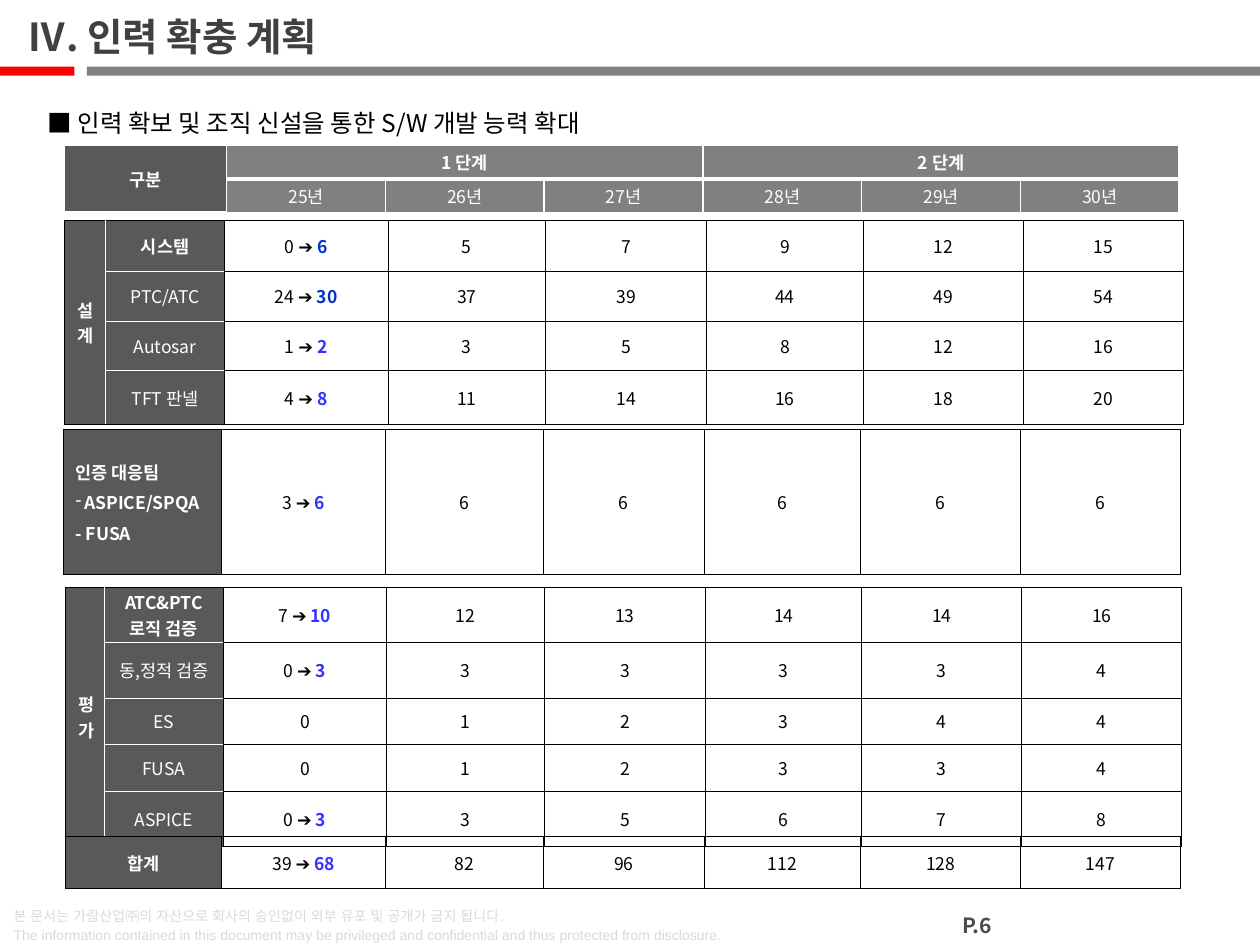
from lxml.etree import SubElement
from pptx import Presentation
from pptx.dml.color import RGBColor as Rgb
from pptx.enum.shapes import MSO_SHAPE as Shape
from pptx.enum.text import MSO_ANCHOR as Anchor, PP_ALIGN as Align
from pptx.oxml.ns import qn
from pptx.util import Inches, Pt

COLORS = {
    "red": "FF0000", "gray": "808080", "dark": "595959", "title": "404040",
    "page": "4D4D4D", "pale": "D9D9D9", "white": "FFFFFF", "black": "000000",
    "navy": "0033CC", "blue": "3333FF",
}
FONT = "Noto Sans CJK KR"
ARROW = "➔ "
YEAR_COLUMNS = [1.3, 1.25, 1.28, 1.24, 1.27, 1.27]

DESIGN_ROWS = [
    ("시스템", "0 ➔ 6", 5, 7, 9, 12, 15),
    ("PTC/ATC", "24 ➔ 30", 37, 39, 44, 49, 54),
    ("Autosar", "1 ➔ 2", 3, 5, 8, 12, 16),
    ("TFT 판넬", "4 ➔ 8", 11, 14, 16, 18, 20),
]
TEAM_ROW = ("3 ➔ 6", 6, 6, 6, 6, 6)
TEST_ROWS = [
    ("ATC&PTC\n로직 검증", "7 ➔ 10", 12, 13, 14, 14, 16),
    ("동,정적 검증", "0 ➔ 3", 3, 3, 3, 3, 4),
    ("ES", "0", 1, 2, 3, 4, 4),
    ("FUSA", "0", 1, 2, 3, 3, 4),
    ("ASPICE", "0 ➔ 3", 3, 5, 6, 7, 8),
]
TOTAL_ROW = ("39 ➔ 68", 82, 96, 112, 128, 147)
NAVY_LABELS = ("시스템", "PTC/ATC")


class SlideBuilder:
    def __init__(self, slide):
        self.slide = slide

    def bar(self, left, width, color):
        bar = self.slide.shapes.add_shape(
            Shape.RECTANGLE, Inches(left), Inches(0.53), Inches(width), Inches(0.07))
        bar.shadow.inherit = False
        bar.fill.solid()
        bar.fill.fore_color.rgb = Rgb.from_string(COLORS[color])
        bar.line.fill.background()

    def span(self, para, text, color, size=10, bold=False, font=FONT):
        span = para.add_run()
        span.text = text
        for name, value in {"name": font, "size": Pt(size), "bold": bold}.items():
            setattr(span.font, name, value)
        span.font.color.rgb = Rgb.from_string(COLORS[color])
        SubElement(span.font._element, qn("a:ea"), typeface=font)

    def text(self, area, lines, color, frame_format=None, para_format=None, **font):
        box = self.slide.shapes.add_textbox(*map(Inches, area))
        frame = box.text_frame
        for name, value in {"word_wrap": True, **(frame_format or {})}.items():
            setattr(frame, name, value)
        for index, line in enumerate(lines):
            para = frame.add_paragraph() if index else frame.paragraphs[0]
            for name, value in (para_format or {}).items():
                setattr(para, name, value)
            self.span(para, line, color, **font)

    def table(self, left, top, columns, rows):
        shape = self.slide.shapes.add_table(
            len(rows), len(columns), Inches(left), Inches(top),
            Inches(sum(columns)), Inches(sum(rows)))
        table = shape.table
        table.first_row = table.horz_banding = False
        for column, width in zip(table.columns, columns):
            column.width = Inches(width)
        for row, height in zip(table.rows, rows):
            row.height = Inches(height)
        return table

    def style_cell(self, cell, borders, fill=None):
        """Set margins, the four borders as side: (color, points), and the fill."""
        cell.margin_top = cell.margin_bottom = Inches(0.02)
        cell.vertical_anchor = Anchor.MIDDLE
        properties = cell._tc.get_or_add_tcPr()
        for side in "LRTB":
            color, points = borders[side]
            line = SubElement(properties, qn(f"a:ln{side}"), w=str(Pt(points)))
            solid = SubElement(line, qn("a:solidFill"))
            SubElement(solid, qn("a:srgbClr"), val=COLORS[color])
        if fill:
            cell.fill.solid()
            cell.fill.fore_color.rgb = Rgb.from_string(COLORS[fill])
        else:
            cell.fill.background()

    def label(self, cell, text, fill="dark", bold=True, white="", points=0.5):
        """Fill a heading cell; white lists the sides with a white border."""
        borders = {side: ("white" if side in white else "black", points) for side in "LRTB"}
        self.style_cell(cell, borders, fill)
        for index, line in enumerate(text.split("\n")):
            para = cell.text_frame.add_paragraph() if index else cell.text_frame.paragraphs[0]
            para.alignment = Align.CENTER
            if line:
                self.span(para, line, "white", bold=bold)

    def values(self, table, row, first, values, accent="blue"):
        for column, value in enumerate(values, first):
            cell = table.cell(row, column)
            self.style_cell(cell, dict.fromkeys("LRTB", ("black", 0.5)))
            para = cell.text_frame.paragraphs[0]
            para.alignment = Align.CENTER
            before, arrow, after = str(value).partition(ARROW)
            self.span(para, before + arrow, "black")
            if after:
                self.span(para, after, accent, bold=True)

    def header(self):
        table = self.table(0.51, 1.15, [1.29] + [1.26] * 6, [0.27, 0.27])
        top = ["구분", "1 단계", "", "", "2 단계", "", ""]
        years = [""] + [f"{year}년" for year in range(25, 31)]
        thick = ("white", 3)
        for row, texts in enumerate([top, years]):
            for column, text in enumerate(texts):
                cell = table.cell(row, column)
                fill = "gray" if column else "dark"
                self.label(cell, text, fill, bold=row == 0, white="LRTB", points=1)
                if row == 0 or column == 0:
                    edge = cell._tc.tcPr.find(qn("a:lnB"))
                    edge.set("w", str(Pt(thick[1])))
        for start, end in [((0, 0), (1, 0)), ((0, 1), (0, 3)), ((0, 4), (0, 6))]:
            table.cell(*start).merge(table.cell(*end))

    def group(self, left, top, group_width, heights, name, rows):
        """Draw rows of head counts beside one merged group heading."""
        table = self.table(left, top, [group_width, 0.94] + YEAR_COLUMNS, heights)
        last = len(rows) - 1
        for index, (label, *values) in enumerate(rows):
            self.label(table.cell(index, 0), "" if index else name, white="R")
            white = "L" + ("T" if index else "") + ("B" if index < last else "")
            self.label(table.cell(index, 1), label, bold=index == 0, white=white)
            accent = "navy" if label in NAVY_LABELS else "blue"
            self.values(table, index, 2, values, accent)
        table.cell(0, 0).merge(table.cell(last, 0))

    def team(self):
        table = self.table(0.5, 3.41, [1.26] + YEAR_COLUMNS, [1.15])
        cell = table.cell(0, 0)
        self.label(cell, "인증 대응팀\nASPICE/SPQA\n- FUSA")
        for index, para in enumerate(cell.text_frame.paragraphs):
            para.alignment = Align.LEFT
            if index:
                para.space_before = Pt(3)
        bulleted = cell.text_frame.paragraphs[1]._p.get_or_add_pPr()
        bulleted.set("marL", str(Inches(0.07)))
        bulleted.set("indent", str(-Inches(0.07)))
        SubElement(bulleted, qn("a:buChar"), char="-")
        self.values(table, 0, 1, TEAM_ROW)

    def total(self):
        table = self.table(0.52, 6.64, [1.24] + YEAR_COLUMNS, [0.41])
        self.label(table.cell(0, 0), "합계")
        self.values(table, 0, 1, TOTAL_ROW)


def main():
    deck = Presentation()
    deck.slide_width, deck.slide_height = Inches(10), Inches(7.5)
    page = SlideBuilder(deck.slides.add_slide(deck.slide_layouts[6]))

    page.bar(0, 0.59, "red")
    page.bar(0.69, 9.31, "gray")
    page.text((0.01, 7.13, 7.4, 0.41), [
        "본 문서는 가람산업㈜의 자산으로 회사의 승인없이 외부 유포 및 공개가 금지 됩니다.",
        "The information contained in this document may be privileged and confidential "
        "and thus protected from disclosure.",
    ], "pale", para_format={"line_spacing": Pt(11)}, size=8, font="Arial")
    page.text((7.36, 7.19, 0.79, 0.31), ["P.6"], "page",
              para_format={"alignment": Align.CENTER}, size=12, bold=True)
    page.text((0.2, 0.05, 9.44, 0.47), ["Ⅳ. 인력 확충 계획"], "title",
              {"vertical_anchor": Anchor.MIDDLE, "margin_left": Inches(0.02)},
              size=22, bold=True)

    page.header()
    page.group(0.51, 1.75, 0.33, [0.4, 0.4, 0.39, 0.43], "설계", DESIGN_ROWS)
    page.team()
    page.group(0.52, 4.66, 0.31, [0.44, 0.44, 0.37, 0.37, 0.44], "평가", TEST_ROWS)
    page.total()
    page.text((0.28, 0.69, 8.74, 0.67), ["■ 인력 확보 및 조직 신설을 통한 S/W 개발 능력 확대"],
              "black", {"word_wrap": False}, {"line_spacing": 1.5}, size=14)
    deck.save("out.pptx")


if __name__ == "__main__":
    main()
